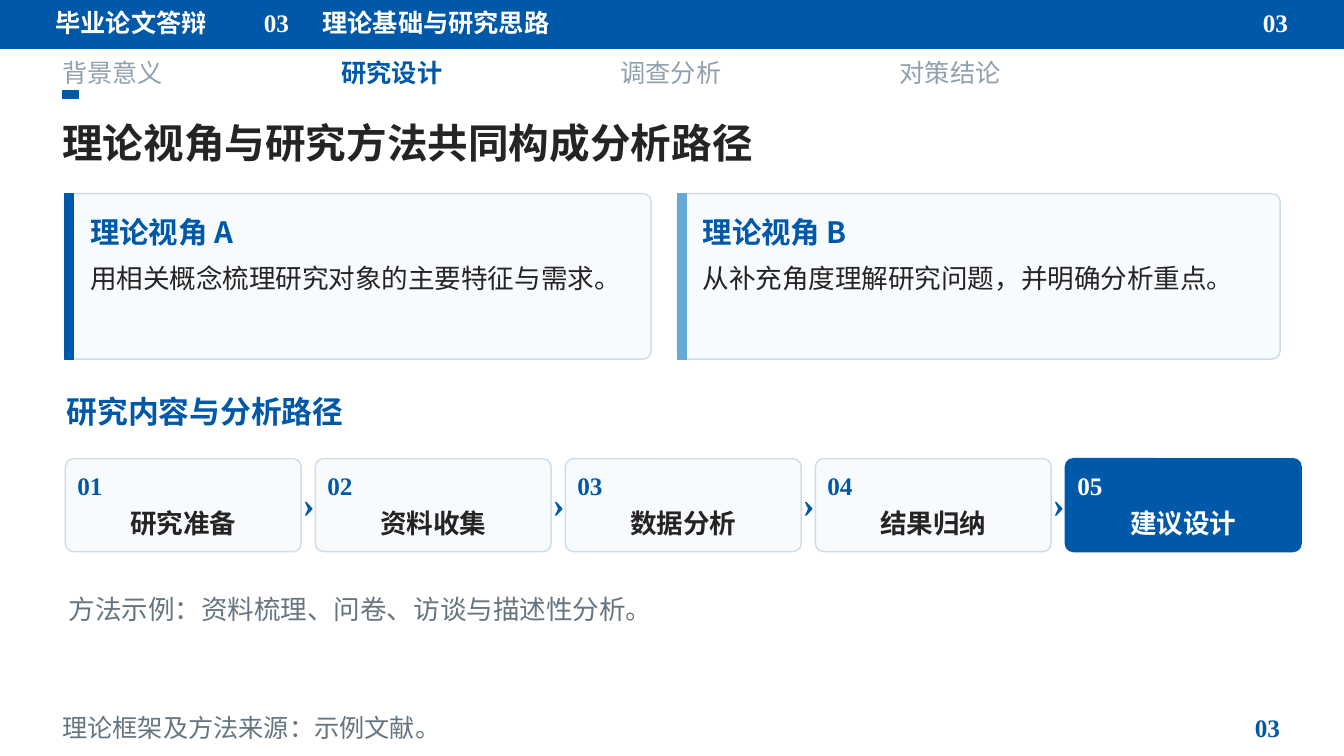
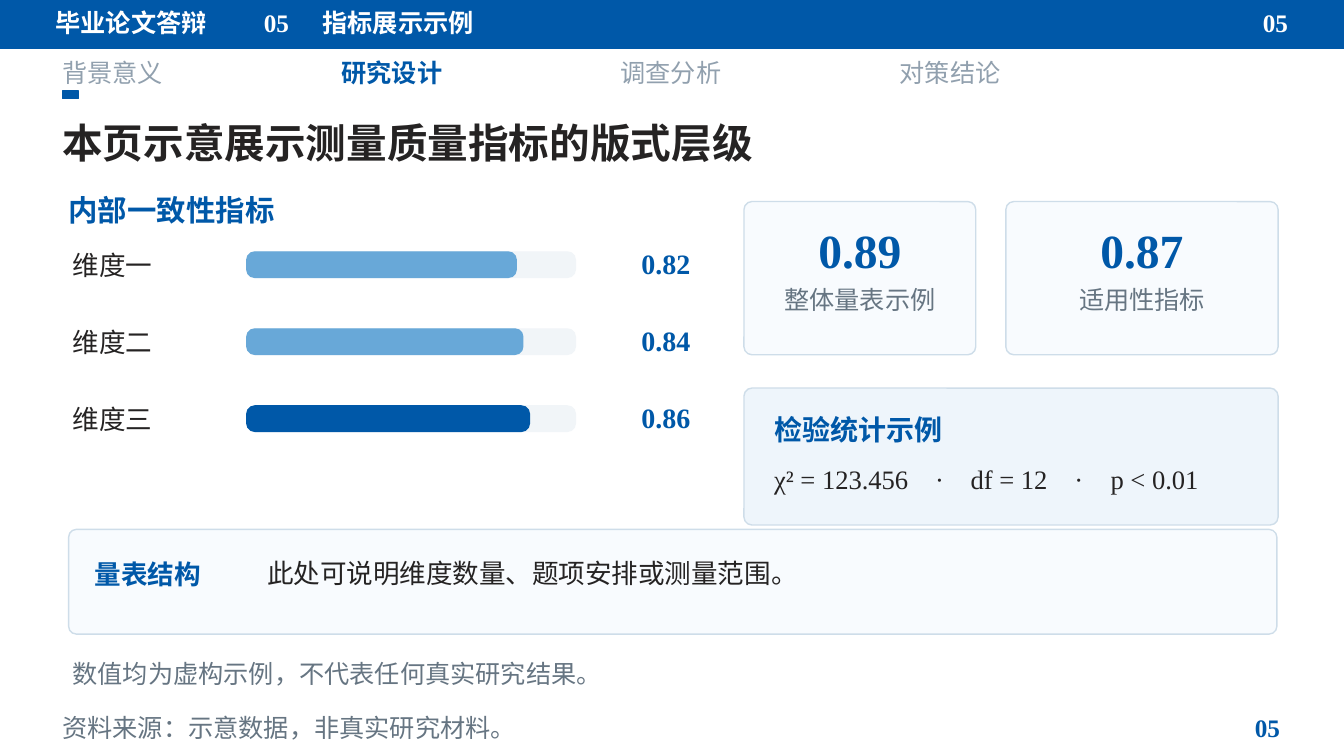
from dataclasses import dataclass

from lxml import etree
from pptx import Presentation
from pptx import util as u
from pptx.dml import color
from pptx.enum import shapes, text
from pptx.oxml import ns

LEFT, CENTER, RIGHT = text.PP_ALIGN.LEFT, text.PP_ALIGN.CENTER, text.PP_ALIGN.RIGHT
MIDDLE, TOP = text.MSO_ANCHOR.MIDDLE, text.MSO_ANCHOR.TOP
HEAD, BODY, NUMBER = "Noto Sans CJK JP", "Noto Sans CJK SC", "Times New Roman"


class Theme:
    white, ink, muted, faded = "FFFFFF", "252323", "667582", "91A0AE"
    blue, sky = "0058A8", "68A8D8"
    panel, tint, track, border = "F8FBFE", "EEF5FB", "F1F5F8", "CEDDE9"
    radius = 0.2
    # style: font, size, bold, colour
    styles = {
        "band": (HEAD, 18, True, white),
        "band number": (NUMBER, 18, True, white),
        "tab": (HEAD, 18, False, faded),
        "active tab": (HEAD, 18, True, blue),
        "title": (HEAD, 29, True, ink),
        "section": (HEAD, 22, True, blue),
        "heading": (HEAD, 21, True, blue),
        "subheading": (HEAD, 20, True, blue),
        "label": (HEAD, 19, True, blue),
        "step": (HEAD, 19, True, ink),
        "active step": (HEAD, 19, True, white),
        "body": (BODY, 19, False, ink),
        "remark": (BODY, 19, False, muted),
        "note": (BODY, 18, False, muted),
        "number": (NUMBER, 18, True, blue),
        "value": (NUMBER, 20, True, blue),
        "big value": (NUMBER, 34, True, blue),
        "arrow": (NUMBER, 26, True, blue),
        "formula": (NUMBER, 19, False, ink),
    }


@dataclass
class Box:
    """A rectangle in centimetres."""
    left: float
    top: float
    width: float
    height: float

    def inner(self, dx, dy, width, height):
        return Box(self.left + dx, self.top + dy, width, height)

    def lengths(self):
        return [u.Cm(n) for n in (self.left, self.top, self.width, self.height)]


def set_all(target, values):
    for name, value in values.items():
        setattr(target, name, value)


def rgb(code):
    return color.RGBColor.from_string(code)


def add_text(page, box, words, style, align=LEFT, anchor=MIDDLE, stops=()):
    """Write one line; stops lists (position in cm, tab alignment)."""
    frame = page.shapes.add_textbox(*box.lengths()).text_frame
    set_all(frame, {"word_wrap": True, "vertical_anchor": anchor,
                    "margin_left": 0, "margin_right": 0,
                    "margin_top": 0, "margin_bottom": 0})
    para = frame.paragraphs[0]
    para.alignment = align
    if stops:
        tab_list = etree.SubElement(para._p.get_or_add_pPr(), ns.qn("a:tabLst"))
        for position, kind in stops:
            etree.SubElement(tab_list, ns.qn("a:tab"),
                             pos=str(u.Cm(position)), algn=kind)
    span = para.add_run()
    span.text = words
    font, size, bold, shade = Theme.styles[style]
    set_all(span.font, {"name": font, "size": u.Pt(size), "bold": bold})
    span.font.color.rgb = rgb(shade)
    etree.SubElement(span._r.get_or_add_rPr(), ns.qn("a:ea"), typeface=font)


def add_block(page, box, fill, line=None, rounded=False):
    kinds = shapes.MSO_SHAPE
    kind = kinds.ROUNDED_RECTANGLE if rounded else kinds.RECTANGLE
    block = page.shapes.add_shape(kind, *box.lengths())
    block.shadow.inherit = False
    block.fill.solid()
    block.fill.fore_color.rgb = rgb(fill)
    block.line.color.rgb = rgb(line or fill)
    block.line.width = u.Pt(1)
    if rounded:
        block.adjustments[0] = Theme.radius / min(box.width, box.height)


def add_panel(page, box, fill=Theme.panel, line=Theme.border):
    add_block(page, box, fill, line, rounded=True)


def header_band(page, box, number, chapter):
    add_block(page, box, Theme.blue)
    for dx, width, words, style, align in (
            (1.4, 5.2, "毕业论文答辩", "band", LEFT),
            (6.65, 1.4, number, "band number", LEFT),
            (8.13, 14.1, chapter, "band", LEFT),
            (31.06, 1.4, number, "band number", RIGHT)):
        add_text(page, box.inner(dx, 0.18, width, 0.76), words, style, align)


def section_tabs(page, box, active):
    pitch = box.width / 4
    for i, name in enumerate(("背景意义", "研究设计", "调查分析", "对策结论")):
        style = "active tab" if name == active else "tab"
        add_text(page, box.inner(i * pitch, 0, 5.46, box.height), name, style)
    add_block(page, box.inner(0, 0.84, 0.41, 0.2), Theme.blue)


def footer(page, box, source, number):
    add_text(page, box.inner(0, 0, 28.2, box.height), source, "note")
    add_text(page, box.inner(box.width - 1.4, 0, 1.4, box.height),
             number, "number", RIGHT)


def base_page(deck, number, chapter, title, source):
    page = deck.slides.add_slide(deck.slide_layouts[6])
    page.background.fill.solid()
    page.background.fill.fore_color.rgb = rgb(Theme.white)
    header_band(page, Box(0, 0, 33.87, 1.22), number, chapter)
    section_tabs(page, Box(1.57, 1.45, 28.14, 0.74), "研究设计")
    add_text(page, Box(1.57, 2.67, 30.73, 1.83), title, "title")
    footer(page, Box(1.57, 17.98, 30.69, 0.71), source, number)
    return page


def theory_card(page, box, heading, body, accent):
    add_panel(page, box)
    add_block(page, box.inner(0, 0, 0.23, box.height), accent)
    width = box.width - 1.22
    add_text(page, box.inner(0.64, 0.46, width, 1.02), heading, "heading")
    add_text(page, box.inner(0.64, 1.73, width, 2.03), body, "body", anchor=TOP)


def step_flow(page, box, names):
    """Numbered steps joined by arrows; the last one is highlighted."""
    gap = 0.36
    width = (box.width - gap * (len(names) - 1)) / len(names)
    for i, name in enumerate(names):
        card = box.inner(i * (width + gap), 0, width, box.height)
        last = i == len(names) - 1
        if last:
            add_panel(page, card, Theme.blue, Theme.blue)
        else:
            add_panel(page, card)
            add_text(page, card.inner(width - 0.09, 0.58, 0.56, 1.09),
                     "›", "arrow", CENTER)
        add_text(page, card.inner(0.3, 0.3, 1.2, 0.76), f"{i + 1:02}",
                 "band number" if last else "number")
        add_text(page, card.inner(0.35, 1.22, width - 0.7, 0.81), name,
                 "active step" if last else "step", CENTER)


def indicator_bars(page, box, rows):
    pitch = 1.94
    for i, (name, value, fill) in enumerate(rows):
        row = box.inner(0, i * pitch, box.width, 0.64)
        add_text(page, row.inner(0, -0.08, 3.94, 0.81), name, "body")
        track = row.inner(4.39, 0, 8.28, 0.64)
        add_panel(page, track, Theme.track, Theme.track)
        add_panel(page, track.inner(0, 0, track.width * value, 0.64), fill, fill)
        add_text(page, row.inner(box.width - 2.54, -0.18, 2.54, 0.94),
                 f"{value:.2f}", "value", RIGHT)


def metric_card(page, box, value, label):
    add_panel(page, box)
    width = box.width - 0.92
    add_text(page, box.inner(0.46, 0.41, width, 1.57), value, "big value", CENTER)
    add_text(page, box.inner(0.46, 2.08, width, 1.42), label, "note", CENTER, TOP)


def test_panel(page, box, heading, terms):
    add_panel(page, box, Theme.tint)
    add_text(page, box.inner(0.76, 0.56, 11.81, 0.94), heading, "subheading")
    add_text(page, box.inner(0.76, 1.83, 11.81, 0.91), "\t·\t".join(terms), "formula",
             stops=((4.17, "ctr"), (4.95, "l"), (7.68, "ctr"), (8.48, "l")))


def structure_panel(page, box, label, body):
    add_panel(page, box)
    add_text(page, box.inner(0.66, 0.69, 3.94, 0.86), label, "label")
    add_text(page, box.inner(5, 0.58, 24.26, 1.02), body, "body")


def design_page(deck):
    page = base_page(deck, "03", "理论基础与研究思路",
                     "理论视角与研究方法共同构成分析路径",
                     "理论框架及方法来源：示例文献。")
    theory_card(page, Box(1.63, 4.88, 14.78, 4.17), "理论视角 A",
                "用相关概念梳理研究对象的主要特征与需求。", Theme.blue)
    theory_card(page, Box(17.07, 4.88, 15.19, 4.17), "理论视角 B",
                "从补充角度理解研究问题，并明确分析重点。", Theme.sky)
    add_text(page, Box(1.68, 9.86, 10.92, 1.02), "研究内容与分析路径", "section")
    step_flow(page, Box(1.65, 11.56, 31.14, 2.34),
              ("研究准备", "资料收集", "数据分析", "结果归纳", "建议设计"))
    add_text(page, Box(1.73, 14.81, 30.23, 1.07),
             "方法示例：资料梳理、问卷、访谈与描述性分析。", "remark")


def indicator_page(deck):
    page = base_page(deck, "05", "指标展示示例",
                     "本页示意展示测量质量指标的版式层级",
                     "资料来源：示意数据，非真实研究材料。")
    add_text(page, Box(1.73, 4.8, 8.13, 0.97), "内部一致性指标", "heading")
    indicator_bars(page, Box(1.83, 6.35, 15.57, 4.5),
                   (("维度一", 0.82, Theme.sky),
                    ("维度二", 0.84, Theme.sky),
                    ("维度三", 0.86, Theme.blue)))
    metric_card(page, Box(18.75, 5.08, 5.84, 3.86), "0.89", "整体量表示例")
    metric_card(page, Box(25.35, 5.08, 6.86, 3.86), "0.87", "适用性指标")
    test_panel(page, Box(18.75, 9.78, 13.46, 3.45), "检验统计示例",
               ("χ² = 123.456", "df = 12", "p < 0.01"))
    structure_panel(page, Box(1.73, 13.34, 30.45, 2.64), "量表结构",
                    "此处可说明维度数量、题项安排或测量范围。")
    add_text(page, Box(1.83, 16.56, 29.72, 0.84),
             "数值均为虚构示例，不代表任何真实研究结果。", "note")


def main():
    deck = Presentation()
    set_all(deck, {"slide_width": u.Cm(33.87), "slide_height": u.Cm(19.05)})
    design_page(deck)
    indicator_page(deck)
    deck.save("out.pptx")


if __name__ == "__main__":
    main()
